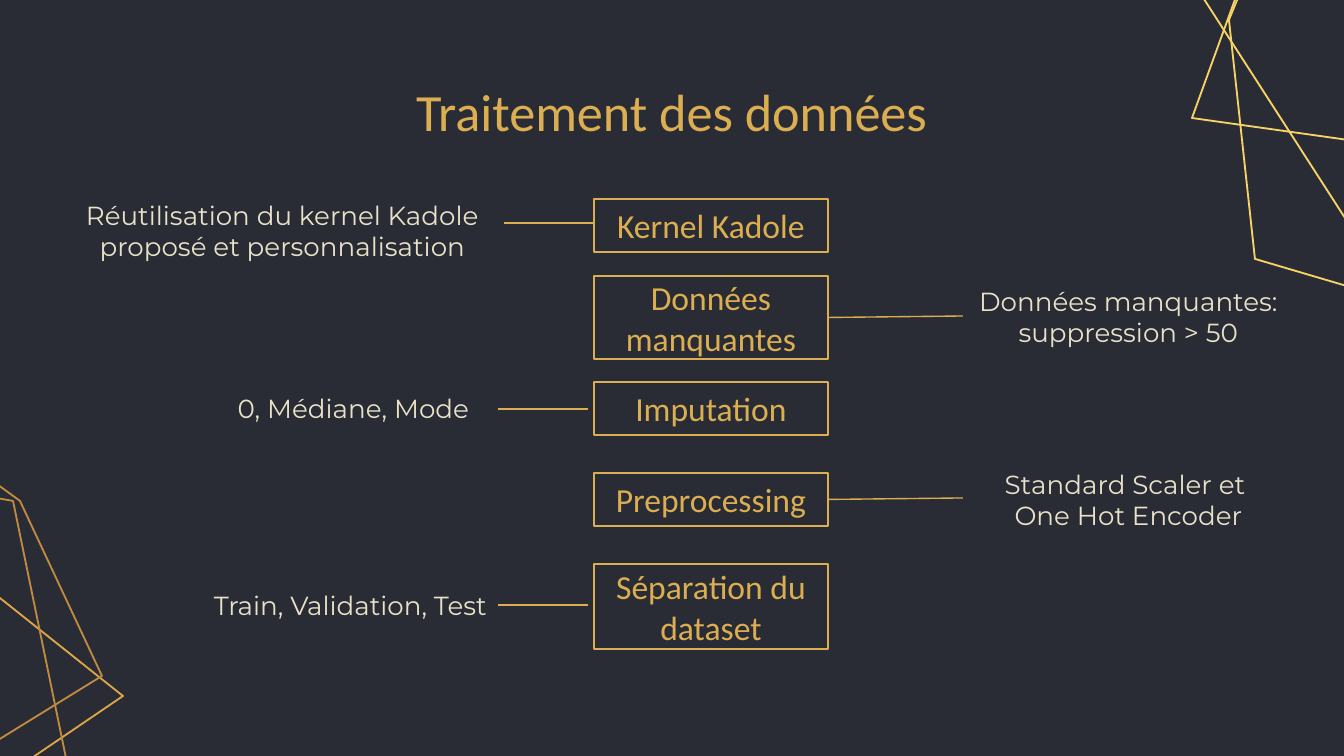
from lxml import etree
from pptx import Presentation
from pptx.dml.color import RGBColor
from pptx.enum.shapes import MSO_CONNECTOR, MSO_SHAPE
from pptx.enum.text import MSO_ANCHOR, MSO_AUTO_SIZE, PP_ALIGN
from pptx.oxml.ns import qn
from pptx.util import Emu, Pt

RECTANGLE = MSO_SHAPE.RECTANGLE
STRAIGHT = MSO_CONNECTOR.STRAIGHT
MIDDLE = MSO_ANCHOR.MIDDLE
CENTER = PP_ALIGN.CENTER
NO_AUTOFIT = MSO_AUTO_SIZE.NONE
TITLE_ONLY = 5
RIGHT_SIDE = 3

EMU_PER_PX = 914400 / 134.4
NIGHT, GOLD, CREAM = "292C35", "DCAE52", "E9E2C9"
BRIGHT_GOLD, AMBER, BRONZE = "F7D366", "DDA548", "C08A40"
HEADING_FONT, LABEL_FONT = "Calibri", "Montserrat"

STEP_LEFT, STEP_WIDTH = 594, 234
RIGHT_LINE_END = 963
LINE_LENGTH = 90

STEPS = [
    ("Kernel Kadole", 199, 53),
    ("Données manquantes", 276, 83),
    ("Imputation", 382, 53),
    ("Preprocessing", 473, 53),
    ("Séparation du dataset", 564, 85),
]
LABELS = [
    ("Réutilisation du kernel Kadole proposé et personnalisation", 67, 199, 431, 63),
    ("Données manquantes: suppression > 50", 913, 290, 431, 53),
    ("0, Médiane, Mode", 138, 382, 431, 53),
    ("Standard Scaler et \nOne Hot Encoder", 913, 473, 431, 53),
    ("Train, Validation, Test", 133, 579, 435, 53),
]
RIGHT_LINES = [("Données manquantes", 316), ("Preprocessing", 498)]
LEFT_LINES = [(594, 223), (588, 409), (588, 605)]
ORNAMENTS = [
    (AMBER, [(-554, 753), (-339, 328), (123, 696), (-83, 836)]),
    (BRIGHT_GOLD, [(1411, 305), (1255, 259), (1229, 20), (1277, -98), (1353, -75), (1516, 97)]),
    (BRIGHT_GOLD, [(1498, 240), (1387, 283), (1204, -1), (1323, -165), (1491, 75)]),
    (BRIGHT_GOLD, [(1498, 161), (1192, 118), (1323, -243), (1452, -145)]),
    (BRONZE, [(-488, 414), (-277, 285), (20, 501), (102, 676), (0, 739), (-362, 746)]),
    (BRONZE, [(-560, 582), (-495, 413), (13, 501), (75, 802), (-368, 745)]),
]


def px(length):
    return Emu(round(length * EMU_PER_PX))


def color(hex_string):
    return RGBColor.from_string(hex_string)


def style_line(line, hex_string, width=0.75):
    line.color.rgb = color(hex_string)
    line.width = Pt(width)


def write_text(shape, text, font_name, size, hex_string):
    frame = shape.text_frame
    frame.text = text
    frame.word_wrap = True
    frame.auto_size = NO_AUTOFIT
    frame.vertical_anchor = MIDDLE
    frame.margin_left = frame.margin_right = px(13)
    frame.margin_top = frame.margin_bottom = px(13)
    for paragraph in frame.paragraphs:
        paragraph.alignment = CENTER
        for run in paragraph.runs:
            run.font.name = font_name
            run.font.size = Pt(size)
            run.font.color.rgb = color(hex_string)


def add_ornament(slide, hex_string, points):
    builder = slide.shapes.build_freeform(*points[0], scale=EMU_PER_PX)
    builder.add_line_segments(points[1:], close=True)
    shape = builder.convert_to_shape()
    shape.shadow.inherit = False
    shape.fill.background()
    style_line(shape.line, hex_string, 1)


def set_title(slide, text):
    title = slide.shapes.title
    title.left, title.top = px(293), px(79)
    title.width, title.height = px(757), px(63)
    write_text(title, text, HEADING_FONT, 28, GOLD)


def add_step(slide, text, top, height):
    shape = slide.shapes.add_shape(
        RECTANGLE, px(STEP_LEFT), px(top), px(STEP_WIDTH), px(height))
    shape.shadow.inherit = False
    shape.fill.background()
    style_line(shape.line, GOLD)
    write_text(shape, text, HEADING_FONT, 18, GOLD)
    return shape


def add_label(slide, text, left, top, width, height):
    box = slide.shapes.add_textbox(px(left), px(top), px(width), px(height))
    write_text(box, text, LABEL_FONT, 14, CREAM)


def add_line(slide, start_x, start_y, end_x, end_y):
    connector = slide.shapes.add_connector(
        STRAIGHT, px(start_x), px(start_y), px(end_x), px(end_y))
    style_line(connector.line, GOLD)
    etree.SubElement(connector._element.spPr, qn("a:effectLst"))
    return connector


def main():
    presentation = Presentation()
    presentation.slide_width, presentation.slide_height = px(1344), px(756)
    slide = presentation.slides.add_slide(presentation.slide_layouts[TITLE_ONLY])
    slide.background.fill.solid()
    slide.background.fill.fore_color.rgb = color(NIGHT)

    for hex_string, points in ORNAMENTS:
        add_ornament(slide, hex_string, points)
    set_title(slide, "Traitement des données")
    steps = {text: add_step(slide, text, top, height) for text, top, height in STEPS}
    for label in LABELS:
        add_label(slide, *label)
    for step_name, y in RIGHT_LINES:
        connector = add_line(slide, STEP_LEFT + STEP_WIDTH, y, RIGHT_LINE_END, y)
        connector.begin_connect(steps[step_name], RIGHT_SIDE)
    for x, y in LEFT_LINES:
        add_line(slide, x, y, x - LINE_LENGTH, y)

    presentation.save("out.pptx")


if __name__ == "__main__":
    main()
